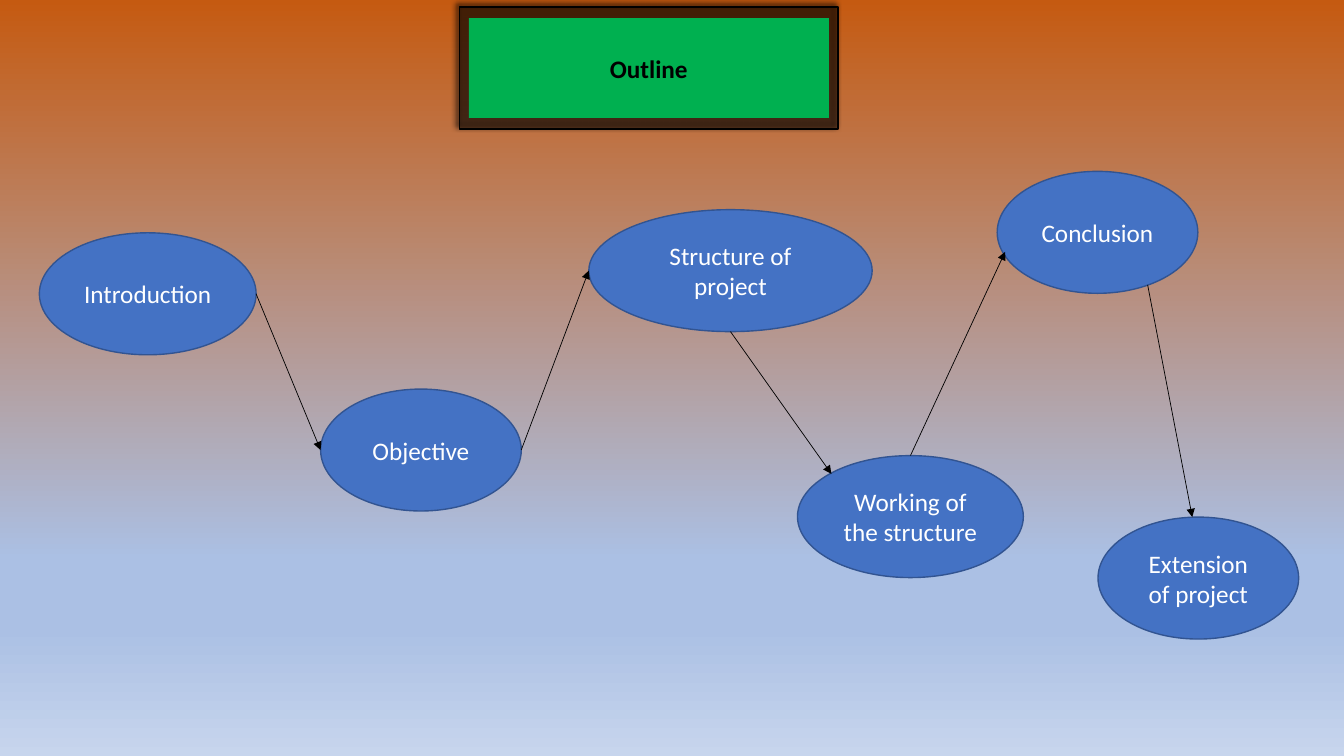
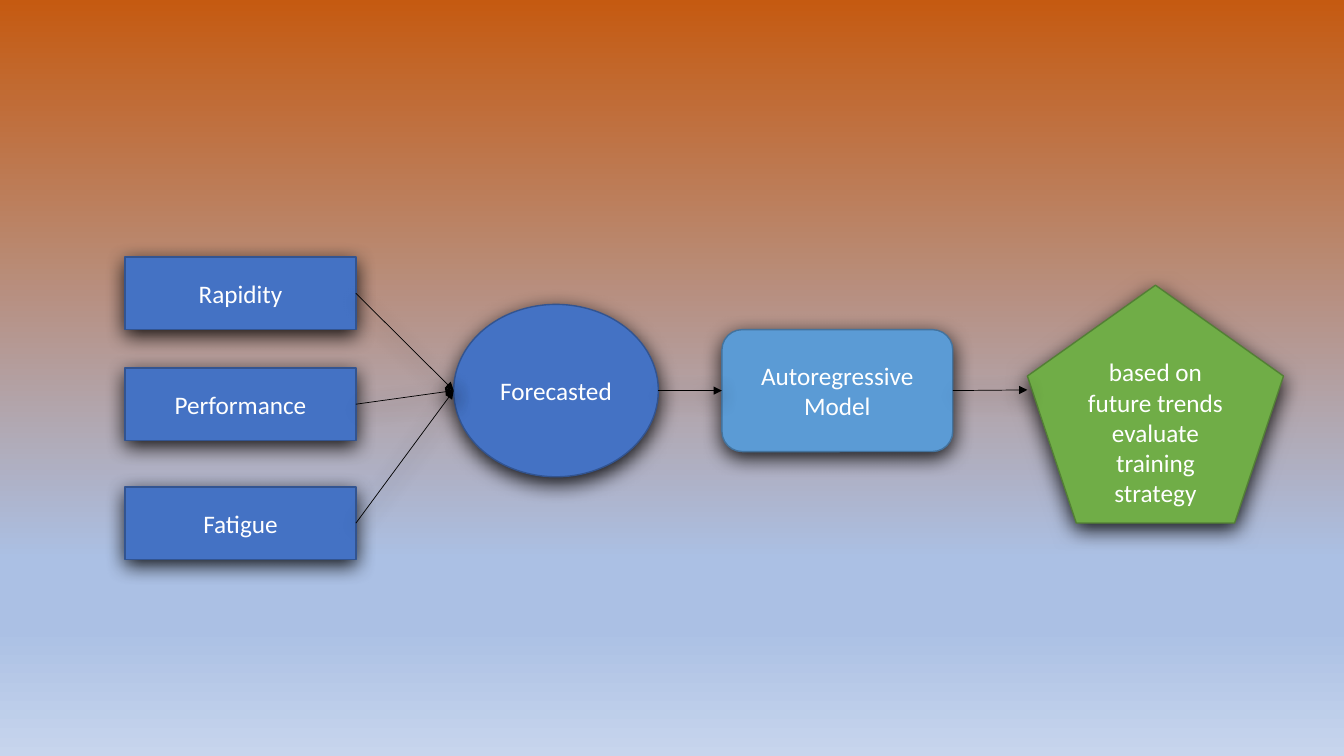
from lxml.etree import SubElement
from pptx import Presentation
from pptx.dml.color import RGBColor
from pptx.enum.shapes import MSO_CONNECTOR, MSO_SHAPE
from pptx.enum.text import MSO_ANCHOR, PP_ALIGN
from pptx.oxml.ns import qn
from pptx.util import Inches, Pt

BLACK = RGBColor(0x00, 0x00, 0x00)
WHITE = RGBColor(0xFF, 0xFF, 0xFF)
GREEN = RGBColor(0x00, 0xB0, 0x50)
BLUE = RGBColor(0x44, 0x72, 0xC4)
BLUE_EDGE = RGBColor(0x32, 0x54, 0x91)
SKY = RGBColor(0x5B, 0x9B, 0xD5)
SKY_EDGE = RGBColor(0x43, 0x73, 0x9E)
LEAF = RGBColor(0x70, 0xAD, 0x47)
LEAF_EDGE = RGBColor(0x53, 0x80, 0x35)
RUST = RGBColor(0xC5, 0x5A, 0x11)
HAZE = RGBColor(0xAB, 0xC0, 0xE4)
PALE = RGBColor(0xC7, 0xD5, 0xED)
BACKGROUND_STOPS = [(0, RUST), (74, HAZE), (83, HAZE), (100, PALE)]

FONT = "Calibri"
TITLE_ONLY, BLANK = 5, 6
LEFT, TOP, RIGHT, BOTTOM = (0, 0.5), (0.5, 0), (1, 0.5), (0.5, 1)
TOP_LEFT = (0.15, 0.15)
SITES = {TOP: 0, LEFT: 1, BOTTOM: 2, RIGHT: 3}
FRAME_SHADOW = (100, 4, 3, 225)
FLOW_SHADOW = (88, 15, 4, 90)


def add_color(parent, color, opacity=100):
    tone = SubElement(parent, qn("a:srgbClr"), val=str(color))
    if opacity < 100:
        SubElement(tone, qn("a:alpha"), val=str(opacity * 1000))


def set_background(master):
    fill = master.background.fill
    fill.gradient()
    fill.gradient_angle = 270
    stops = next(master.element.iter(qn("a:gsLst")))
    for stop in list(stops):
        stops.remove(stop)
    for position, color in BACKGROUND_STOPS:
        add_color(SubElement(stops, qn("a:gs"), pos=str(position * 1000)), color)


def set_shadow(item, shadow):
    effects = SubElement(item.element.spPr, qn("a:effectLst"))
    if shadow:
        opacity, blur, distance, angle = shadow
        outer = SubElement(effects, qn("a:outerShdw"), blurRad=str(Pt(blur)),
                           dist=str(Pt(distance)), dir=str(angle * 60000),
                           algn="ctr", rotWithShape="0")
        add_color(outer, BLACK, opacity)


def write_text(box, text, color, bold=False):
    frame = box.text_frame
    frame.word_wrap = True
    frame.vertical_anchor = MSO_ANCHOR.MIDDLE
    para = frame.paragraphs[0]
    para.text = text
    para.alignment = PP_ALIGN.CENTER
    para.font.name = FONT
    para.font.size = Pt(18)
    para.font.bold = bold
    para.font.color.rgb = color


def add_box(page, kind, area, fill, edge, shadow=None):
    box = page.shapes.add_shape(kind, *map(Inches, area))
    box.fill.solid()
    box.fill.fore_color.rgb = fill
    box.line.color.rgb = edge
    box.line.width = Pt(1)
    set_shadow(box, shadow)
    return box


def add_node(page, kind, area, text, fill=BLUE, edge=BLUE_EDGE, shadow=None):
    node = add_box(page, kind, area, fill, edge, shadow)
    write_text(node, text, WHITE)
    return node


def point_on(box, place):
    across, down = place
    return (round(box.left + box.width * across),
            round(box.top + box.height * down))


def add_arrow(page, source, start, target, end, shadow=None):
    arrow = page.shapes.add_connector(
        MSO_CONNECTOR.STRAIGHT, *point_on(source, start), *point_on(target, end))
    rectangles = (MSO_SHAPE.RECTANGLE, MSO_SHAPE.ROUNDED_RECTANGLE)
    if source.auto_shape_type in rectangles:
        arrow.begin_connect(source, SITES[start])
    if target.auto_shape_type in rectangles:
        arrow.end_connect(target, SITES[end])
    arrow.line.color.rgb = BLACK
    arrow.line.width = Pt(0.5)
    SubElement(arrow.line._get_or_add_ln(), qn("a:tailEnd"), type="triangle")
    set_shadow(arrow, shadow)


def add_framed_title(page, text, area):
    left, top, width, height = area
    side, above = 0.09, 0.11
    title = page.shapes.title
    title.left, title.top = Inches(left + side), Inches(top + above)
    title.width, title.height = Inches(width - 2 * side), Inches(height - 2 * above)
    title.fill.solid()
    title.fill.fore_color.rgb = GREEN
    write_text(title, text, BLACK, bold=True)
    frame = add_box(page, MSO_SHAPE.RECTANGLE, area, BLACK, BLACK, FRAME_SHADOW)
    tone = frame.element.spPr.find(qn("a:solidFill"))[0]
    SubElement(tone, qn("a:alpha"), val="42000")
    title.element.addprevious(frame.element)


def build_outline(deck):
    page = deck.slides.add_slide(deck.slide_layouts[TITLE_ONLY])
    add_framed_title(page, "Outline", (4.56, 0.07, 3.75, 1.21))
    topics = [
        ("Introduction", 0.39, 2.31, 2.15),
        ("Objective", 3.18, 3.86, 1.99),
        ("Structure of project", 5.84, 2.08, 2.81),
        ("Working of the structure", 7.91, 4.52, 2.24),
        ("Conclusion", 9.89, 1.7, 1.99),
        ("Extension of project", 10.89, 5.13, 1.99),
    ]
    nodes = [add_node(page, MSO_SHAPE.OVAL, (left, top, width, 1.21), text)
             for text, left, top, width in topics]
    joints = [(RIGHT, LEFT), (RIGHT, LEFT), (BOTTOM, TOP_LEFT),
              (TOP, (0.04, 0.66)), ((0.75, 0.93), (0.47, 0))]
    for source, target, (start, end) in zip(nodes, nodes[1:], joints):
        add_arrow(page, source, start, target, end)


def build_forecast_flow(deck):
    page = deck.slides.add_slide(deck.slide_layouts[BLANK])
    inputs = [add_node(page, MSO_SHAPE.RECTANGLE, (1.24, top, 2.29, 0.72), text,
                       shadow=FLOW_SHADOW)
              for text, top in [("Rapidity", 2.55), ("Performance", 3.65),
                                ("Fatigue", 4.83)]]
    forecast = add_node(page, MSO_SHAPE.OVAL, (4.5, 3.02, 2.03, 1.71),
                        "Forecasted", shadow=FLOW_SHADOW)
    model = add_node(page, MSO_SHAPE.ROUNDED_RECTANGLE, (7.16, 3.27, 2.29, 1.21),
                     "Autoregressive Model", SKY, SKY_EDGE, FLOW_SHADOW)
    strategy = add_node(page, MSO_SHAPE.REGULAR_PENTAGON, (10.19, 2.83, 2.54, 2.36),
                        "based on future trends evaluate training strategy",
                        LEAF, LEAF_EDGE, FLOW_SHADOW)
    for factor in inputs:
        add_arrow(page, factor, RIGHT, forecast, LEFT, FLOW_SHADOW)
    add_arrow(page, forecast, RIGHT, model, LEFT, FLOW_SHADOW)
    add_arrow(page, model, RIGHT, strategy, (0, 0.44), FLOW_SHADOW)


def main():
    deck = Presentation()
    deck.slide_width, deck.slide_height = Inches(13.33), Inches(7.5)
    set_background(deck.slide_master)
    build_outline(deck)
    build_forecast_flow(deck)
    deck.save("out.pptx")


if __name__ == "__main__":
    main()
